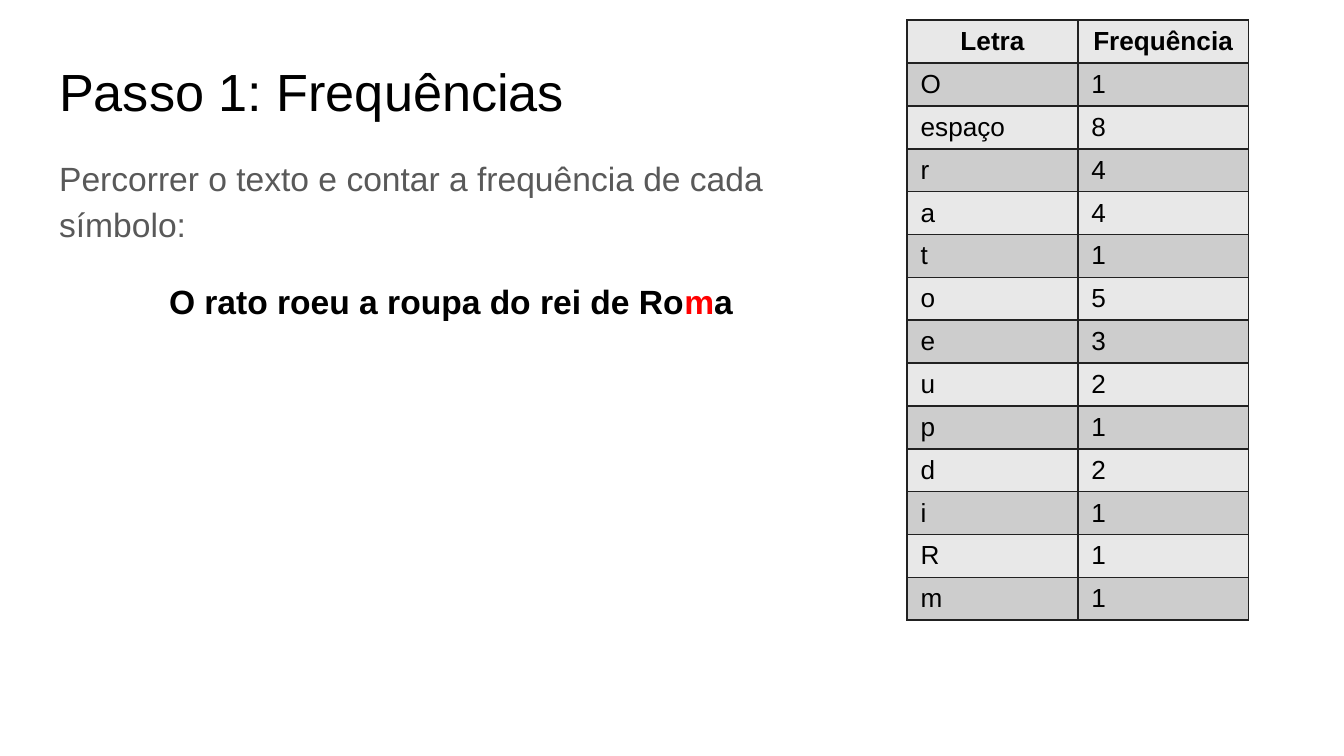
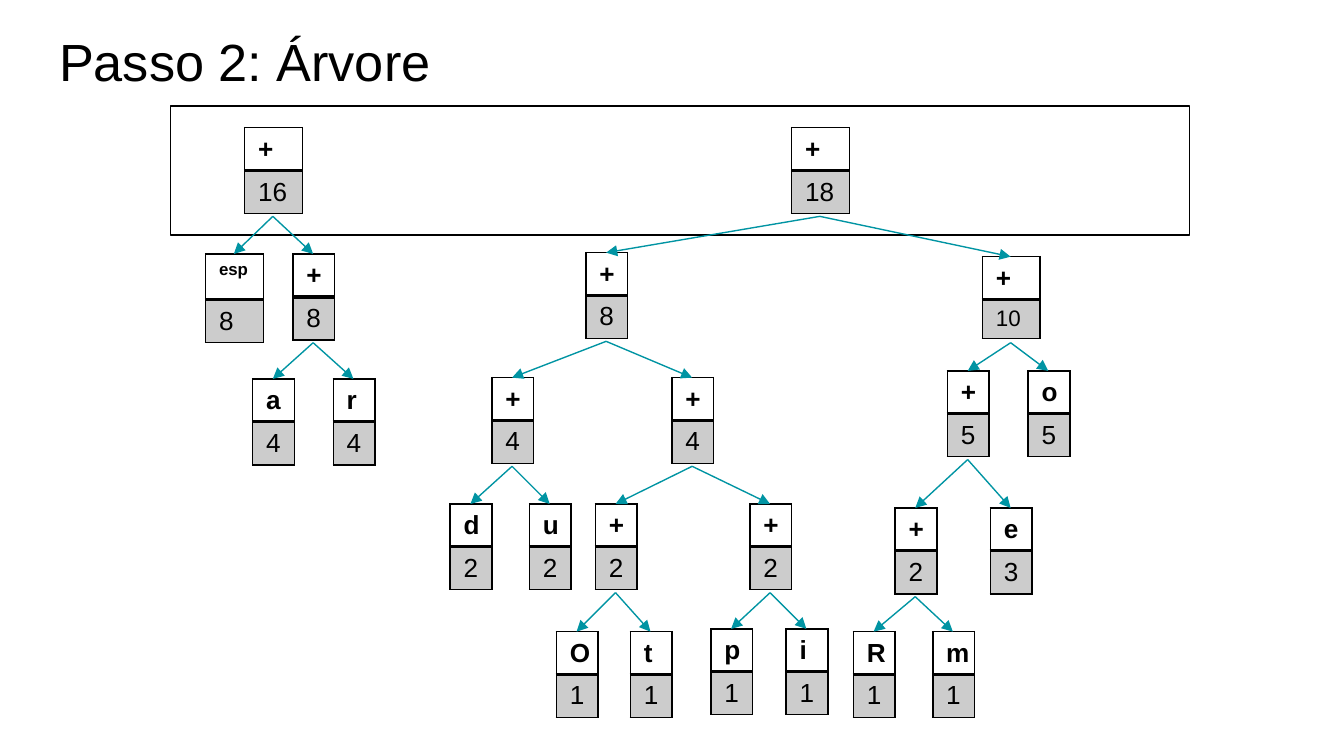
from collections import namedtuple

from lxml.etree import SubElement
from pptx import Presentation
from pptx.dml.color import RGBColor
from pptx.enum.shapes import MSO_CONNECTOR, MSO_SHAPE
from pptx.enum.text import MSO_ANCHOR, MSO_AUTO_SIZE, PP_ALIGN
from pptx.oxml.ns import qn
from pptx.util import Pt

PX = 9144  # 100 px to the inch
FONT = "Arial"
COLORS = {
    "black": "000000",
    "gray": "595959",
    "red": "FF0000",
    "grid": "212121",
    "light": "E8E8E8",
    "dark": "CDCDCD",
    "arrow": "0094A3",
}
TITLE_ONLY, TITLE_BODY = 5, 1
GAP = 66  # from the top of a node to the start of its arrows

Node = namedtuple("Node", "label count x y children", defaults=[()])


def rgb(name):
    return RGBColor.from_string(COLORS[name])


def px(*values):
    return [v * PX for v in values]


class Deck:
    def __init__(self):
        self.prs = Presentation()
        self.prs.slide_width = 1000 * PX
        self.prs.slide_height = self.prs.slide_width * 9 // 16
        self.s = None

    def slide(self, layout, title, top):
        self.s = self.prs.slides.add_slide(self.prs.slide_layouts[layout])
        tf = self.place(self.s.shapes.title, 34, top, 932, 63)
        p = tf.paragraphs[0]
        p.alignment = PP_ALIGN.LEFT
        self.run(p, title, 28)

    def place(self, sp, x, y, w, h):
        """Move a placeholder and give its text frame the common settings."""
        sp.left, sp.top, sp.width, sp.height = px(x, y, w, h)
        tf = sp.text_frame
        tf.word_wrap = True
        tf.auto_size = MSO_AUTO_SIZE.NONE
        tf.vertical_anchor = MSO_ANCHOR.TOP
        tf.margin_left = tf.margin_right = tf.margin_top = tf.margin_bottom = 10 * PX
        return tf

    def run(self, p, text, size, color="black", bold=False):
        r = p.add_run()
        r.text = text
        r.font.name, r.font.size, r.font.bold = FONT, Pt(size), bold
        r.font.color.rgb = rgb(color)

    def body(self, box, paragraphs):
        """Fill the body placeholder from (alignment, space before, runs)."""
        tf = self.place(self.s.placeholders[1], *box)
        for i, (align, before, runs) in enumerate(paragraphs):
            p = tf.add_paragraph() if i else tf.paragraphs[0]
            pPr = p._p.get_or_add_pPr()
            pPr.set("marL", "0")
            pPr.set("indent", "0")
            SubElement(pPr, qn("a:buNone"))
            p.alignment, p.line_spacing, p.space_before = align, 1.15, Pt(before)
            for text, color, bold in runs:
                self.run(p, text, 18, color, bold)

    def table(self, x, y, cols, rows, height):
        shape = self.s.shapes.add_table(len(rows), len(cols), *px(x, y, sum(cols), height))
        table = shape.table
        table.first_row = table.horz_banding = False
        for col, w in zip(table.columns, cols):
            col.width = w * PX
        for row, h in zip(table.rows, rows):
            row.height = h * PX
        shape.height = height * PX
        return table

    def cell(self, cell, text, size=14, bold=False, fill=None, alpha=None,
             line="black", bottom=1, align=PP_ALIGN.LEFT):
        cell.margin_left = cell.margin_right = 10 * PX
        cell.margin_top = cell.margin_bottom = 5 * PX
        tcPr = cell._tc.get_or_add_tcPr()
        for side, width in zip("LRTB", (1, 1, 1, bottom)):
            ln = SubElement(tcPr, qn(f"a:ln{side}"), w=str(Pt(width)))
            solid = SubElement(ln, qn("a:solidFill"))
            SubElement(solid, qn("a:srgbClr"), val=COLORS[line])
        if fill:
            cell.fill.solid()
            cell.fill.fore_color.rgb = rgb(fill)
            if alpha:
                color = tcPr.find(f"{qn('a:solidFill')}/{qn('a:srgbClr')}")
                SubElement(color, qn("a:alpha"), val=str(alpha * 1000))
        else:
            cell.fill.background()
        p = cell.text_frame.paragraphs[0]
        p.alignment = align
        self.run(p, text, size, bold=bold)

    def frame(self, x, y, w, h):
        sp = self.s.shapes.add_shape(MSO_SHAPE.RECTANGLE, *px(x, y, w, h))
        sp.shadow.inherit = False
        sp.fill.background()
        sp.line.color.rgb = rgb("black")
        sp.line.width = Pt(0.75)

    def arrow(self, start, end):
        c = self.s.shapes.add_connector(MSO_CONNECTOR.STRAIGHT, *px(*start, *end))
        c.line.color.rgb = rgb("arrow")
        c.line.width = Pt(0.75)
        SubElement(c.line._get_or_add_ln(), qn("a:tailEnd"), type="triangle")
        SubElement(c._element.spPr, qn("a:effectLst"))

    def tree(self, node):
        """Draw the node's subtrees, its table and its arrows; return its top centre."""
        tops = [self.tree(child) for child in node.children]
        space = node.label == "esp"
        small = node.count == 10
        width = 43 if space or node.count > 9 else 31
        rows = [34, 32] if space else [29, 29] if tops else [31, 31]
        table = self.table(node.x, node.y, [width], rows, 63 if small else 67)
        self.cell(table.cell(0, 0), node.label, 9 if space else 14, True, bottom=2)
        self.cell(table.cell(1, 0), str(node.count), 12 if small else 14,
                  fill="black", alpha=20)
        centre = node.x + width // 2
        for top in reversed(tops):
            self.arrow((centre, node.y + (64 if small else GAP)), top)
        return centre, node.y


FREQUENCIES = [
    ("O", 1), ("espaço", 8), ("r", 4), ("a", 4), ("t", 1), ("o", 5), ("e", 3),
    ("u", 2), ("p", 1), ("d", 2), ("i", 1), ("R", 1), ("m", 1),
]

LEFT_TREE = Node("+", 16, 182, 95, (
    Node("esp", 8, 153, 189),
    Node("+", 8, 218, 189, (Node("a", 4, 188, 282), Node("r", 4, 248, 282))),
))
RIGHT_TREE = Node("+", 18, 589, 95, (
    Node("+", 8, 436, 188, (
        Node("+", 4, 366, 281, (Node("d", 2, 335, 375), Node("u", 2, 394, 375))),
        Node("+", 4, 500, 281, (
            Node("+", 2, 443, 375, (Node("O", 1, 414, 470), Node("t", 1, 469, 470))),
            Node("+", 2, 558, 375, (Node("p", 1, 529, 468), Node("i", 1, 585, 468))),
        )),
    )),
    Node("+", 10, 731, 191, (
        Node("+", 5, 705, 276, (
            Node("+", 2, 666, 378, (Node("R", 1, 635, 470), Node("m", 1, 694, 470))),
            Node("e", 3, 737, 378),
        )),
        Node("o", 5, 765, 276),
    )),
))


def frequency_slide(deck):
    deck.slide(TITLE_BODY, "Passo 1: Frequências", 34)
    deck.body((34, 103, 603, 459), [
        (PP_ALIGN.LEFT, 0, [
            ("Percorrer o texto e contar a frequência de cada símbolo:", "gray", False)]),
        (PP_ALIGN.CENTER, 16, [
            ("O rato roeu a roupa do rei de Ro", "black", True),
            ("m", "red", True),
            ("a", "black", True)]),
    ])
    rows = [("Letra", "Frequência"), *FREQUENCIES]
    table = deck.table(675, 15, [127, 127], [31] + [29] * len(FREQUENCIES), 467)
    for i, row in enumerate(rows):
        for j, value in enumerate(row):
            deck.cell(table.cell(i, j), str(value), bold=i == 0, line="grid",
                      fill="dark" if i % 2 else "light",
                      align=PP_ALIGN.LEFT if i else PP_ALIGN.CENTER)


def tree_slide(deck):
    deck.slide(TITLE_ONLY, "Passo 2: Árvore", 12)
    deck.frame(127, 79, 758, 96)
    deck.tree(LEFT_TREE)
    deck.tree(RIGHT_TREE)


def main():
    deck = Deck()
    frequency_slide(deck)
    tree_slide(deck)
    deck.prs.save("out.pptx")


if __name__ == "__main__":
    main()
